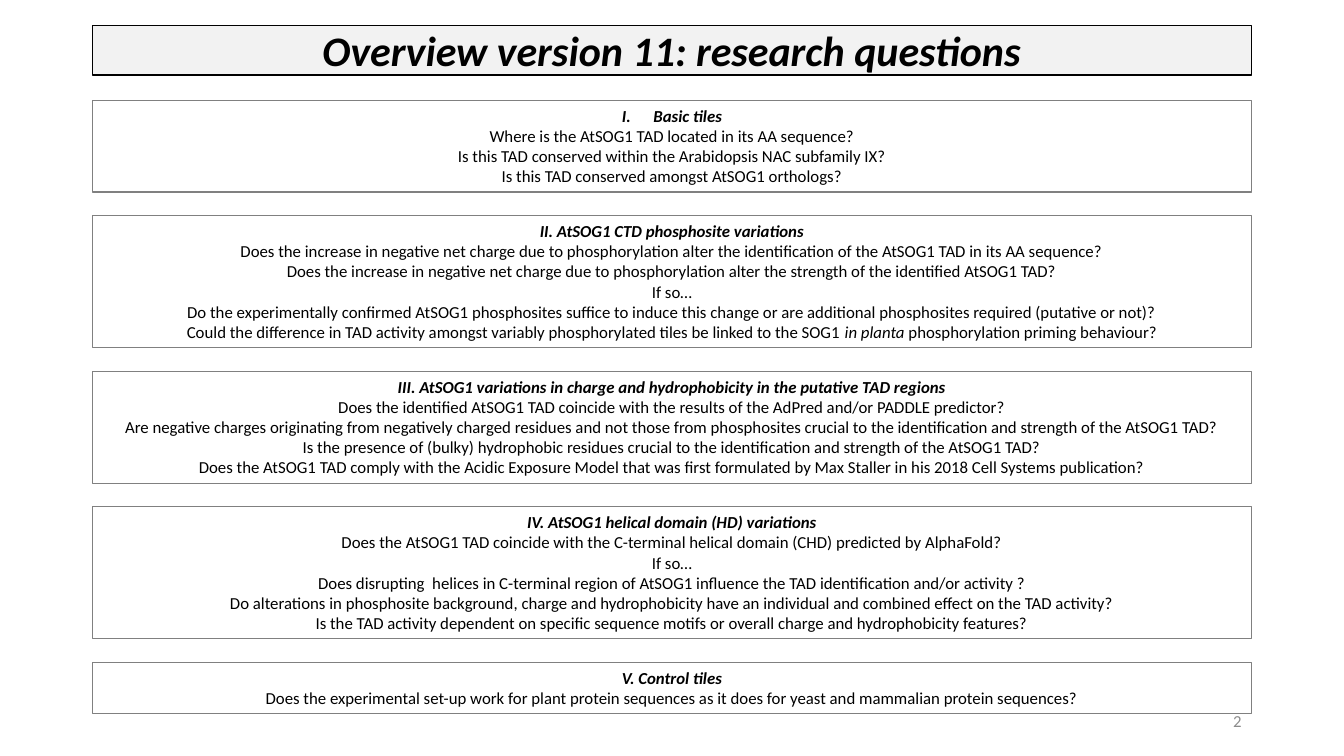
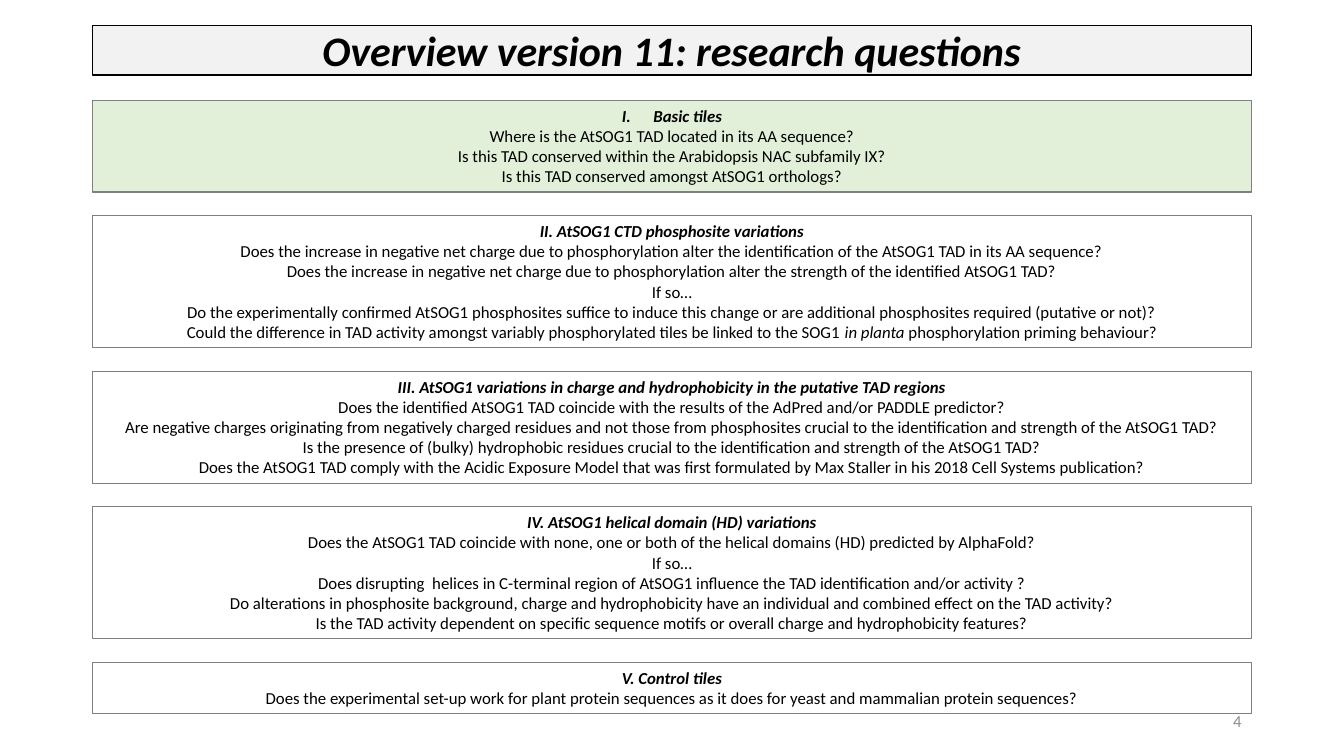
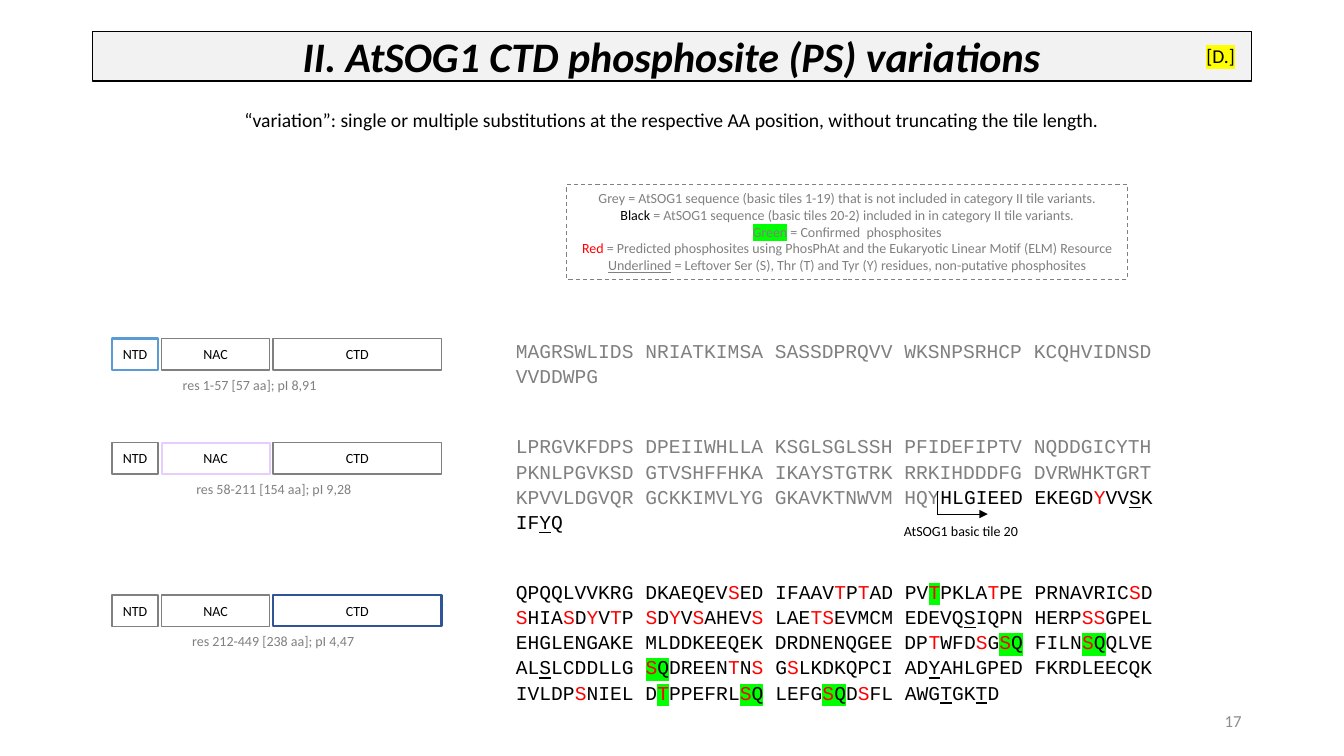
from lxml import etree
from pptx import Presentation
from pptx.dml.color import RGBColor
from pptx.enum import dml, shapes, text
from pptx.oxml import ns
from pptx.util import Pt

BLACK = RGBColor(0x00, 0x00, 0x00)
WHITE = RGBColor(0xFF, 0xFF, 0xFF)
GREY = RGBColor(0x80, 0x80, 0x80)
NUMBER_GREY = RGBColor(0x8C, 0x8C, 0x8C)
BAND = RGBColor(0xF2, 0xF2, 0xF2)
PALE_GREEN = RGBColor(0xE2, 0xF0, 0xD9)
RED = RGBColor(0xFF, 0x00, 0x00)
GREEN = RGBColor(0x00, 0xFF, 0x00)
YELLOW = RGBColor(0xFF, 0xFF, 0x00)
BLUE = RGBColor(0x5B, 0x9B, 0xD5)
LILAC = RGBColor(0xE6, 0xCD, 0xFF)
NAVY = RGBColor(0x2F, 0x55, 0x97)

LEFT, CENTER, RIGHT = text.PP_ALIGN.LEFT, text.PP_ALIGN.CENTER, text.PP_ALIGN.RIGHT
TOP, MIDDLE = text.MSO_ANCHOR.TOP, text.MSO_ANCHOR.MIDDLE

MARGIN, CONTENT_WIDTH = 66, 828

MARKS = {
    "b": {"bold": True, "italic": True},
    "i": {"italic": True},
    "u": {"underline": True},
    "k": {"color": BLACK},
    "a": {"color": GREY},
    "r": {"color": RED},
    "g": {"color": RED, "highlight": GREEN},
    "h": {"highlight": GREEN},
    "y": {"highlight": YELLOW},
}


def add_run(paragraph, words, size, color, face, bold=False, italic=False,
            underline=False, highlight=None):
    """Append one formatted run to a paragraph."""
    run = paragraph.add_run()
    run.text = words
    font = run.font
    font.size, font.name = Pt(size), face
    font.bold, font.italic, font.underline = bold, italic, underline
    font.color.rgb = color
    if highlight is not None:
        mark = etree.Element(ns.qn("a:highlight"))
        etree.SubElement(mark, ns.qn("a:srgbClr")).set("val", str(highlight))
        run._r.rPr.find(ns.qn("a:solidFill")).addnext(mark)


def write(frame, lines, size=12, color=BLACK, face="Calibri", align=CENTER,
          anchor=TOP, spacing=None, gaps=None, wrap=True, inset=7.2):
    """Fill a frame; a piece between bars starts with its letter in MARKS."""
    frame.auto_size = text.MSO_AUTO_SIZE.NONE
    frame.word_wrap = wrap
    frame.vertical_anchor = anchor
    frame.margin_left = frame.margin_right = Pt(inset)
    frame.margin_top = frame.margin_bottom = Pt(3.6)
    for index, line in enumerate(lines):
        paragraph = frame.add_paragraph() if index else frame.paragraphs[0]
        paragraph.alignment = align
        if spacing:
            paragraph.line_spacing = spacing
        if gaps and index in gaps:
            paragraph.space_after = Pt(gaps[index])
        for place, piece in enumerate(line.split("|")):
            if place % 2:
                add_run(paragraph, piece[1:], **{"size": size, "color": color,
                                                 "face": face, **MARKS[piece[0]]})
            elif piece:
                add_run(paragraph, piece, size, color, face)


def number_roman(paragraph, hang):
    """Number a paragraph with capital Roman numerals."""
    properties = paragraph._p.get_or_add_pPr()
    properties.set("marL", str(Pt(hang)))
    properties.set("indent", str(-Pt(hang)))
    numbering = etree.SubElement(properties, ns.qn("a:buAutoNum"))
    numbering.set("type", "romanUcPeriod")


class Deck:
    """Holds the shared style and the current slide."""

    def __init__(self):
        """Start an empty widescreen presentation."""
        self.show = Presentation()
        self.show.slide_width, self.show.slide_height = Pt(960), Pt(540)
        self.slide = None

    def paint(self, shape, fill, line, weight):
        """Set the fill and outline of a shape."""
        if fill is None:
            shape.fill.background()
        else:
            shape.fill.solid()
            shape.fill.fore_color.rgb = fill
        if line is None:
            shape.line.fill.background()
        else:
            shape.line.color.rgb = line
            shape.line.width = Pt(weight)

    def start(self, heading, number, top):
        """Add a slide with its title band and number."""
        self.slide = self.show.slides.add_slide(self.show.slide_layouts[5])
        title = self.slide.shapes.title
        title.left, title.top = Pt(MARGIN), Pt(top)
        title.width, title.height = Pt(CONTENT_WIDTH), Pt(35.5)
        self.paint(title, BAND, BLACK, 1)
        write(title.text_frame, [f"|b{heading}|"], size=30, spacing=0.9)
        self.label((678, 500.4, 216, 28.8), [str(number)], color=NUMBER_GREY,
                   align=RIGHT, anchor=MIDDLE)

    def label(self, area, lines, fill=None, **style):
        """Add a text box."""
        label = self.slide.shapes.add_textbox(*map(Pt, area))
        self.paint(label, fill, None, 0)
        write(label.text_frame, lines, **style)

    def box(self, area, lines, fill=None, line=GREY, weight=0.75, **style):
        """Add an outlined rectangle with text."""
        box = self.slide.shapes.add_shape(shapes.MSO_SHAPE.RECTANGLE, *map(Pt, area))
        box.shadow.inherit = False
        self.paint(box, fill, line, weight)
        write(box.text_frame, lines, **style)
        return box

    def line(self, start, end, arrow=False):
        """Add a thin straight line, with an arrowhead on request."""
        line = self.slide.shapes.add_connector(
            shapes.MSO_CONNECTOR.STRAIGHT, *map(Pt, start + end))
        line.line.color.rgb = BLACK
        line.line.width = Pt(0.5)
        if arrow:
            outline = line.line._get_or_add_ln()
            etree.SubElement(outline, ns.qn("a:tailEnd")).set("type", "triangle")
        etree.SubElement(line._element.spPr, ns.qn("a:effectLst"))


def overview(deck, number, helix_question, basic_fill=None):
    """Build a slide of research questions by category."""
    deck.start("Overview version 11: research questions", number, 18)
    categories = [
        ("Basic tiles", basic_fill, [
            "Where is the AtSOG1 TAD located in its AA sequence?",
            "Is this TAD conserved within the Arabidopsis NAC subfamily IX?",
            "Is this TAD conserved amongst AtSOG1 orthologs?"]),
        ("II. AtSOG1 CTD phosphosite variations", None, [
            "Does the increase in negative net charge due to phosphorylation alter "
            "the identification of the AtSOG1 TAD in its AA sequence?",
            "Does the increase in negative net charge due to phosphorylation alter "
            "the strength of the identified AtSOG1 TAD?",
            "If so…",
            "Do the experimentally confirmed AtSOG1 phosphosites suffice to induce this "
            "change or are additional phosphosites required (putative or not)?",
            "Could the difference in TAD activity amongst variably phosphorylated tiles be "
            "linked to the SOG1 |iin planta |phosphorylation priming behaviour?"]),
        ("III. AtSOG1 variations in charge and hydrophobicity in the putative TAD regions",
         None, [
            "Does the identified AtSOG1 TAD coincide with the results of the AdPred "
            "and/or PADDLE predictor?",
            "Are negative charges originating from negatively charged residues and not those "
            "from phosphosites crucial to the identification and strength of the AtSOG1 TAD?",
            "Is the presence of (bulky) hydrophobic residues crucial to the identification "
            "and strength of the AtSOG1 TAD?",
            "Does the AtSOG1 TAD comply with the Acidic Exposure Model that was first "
            "formulated by Max Staller in his 2018 Cell Systems publication?"]),
        ("IV. AtSOG1 helical domain (HD) variations", None, [
            helix_question,
            "If so…",
            "Does disrupting  helices in C-terminal region of AtSOG1 influence the TAD "
            "identification and/or activity ?",
            "Do alterations in phosphosite background, charge and hydrophobicity have an "
            "individual and combined effect on the TAD activity?",
            "Is the TAD activity dependent on specific sequence motifs or overall charge "
            "and hydrophobicity features?"]),
        ("V. Control tiles", WHITE, [
            "Does the experimental set-up work for plant protein sequences as it does for "
            "yeast and mammalian protein sequences?"]),
    ]
    top = 72
    for index, (category, fill, questions) in enumerate(categories):
        height = 14.5 * (len(questions) + 1) + 7.2
        box = deck.box((MARGIN, top, CONTENT_WIDTH, height),
                       [f"|b{category}|"] + questions, fill=fill)
        if index == 0:
            number_roman(box.text_frame.paragraphs[0], 22.5)
        top += height + 17


def phosphosites(deck):
    """Build the slide with the marked AtSOG1 sequence."""
    deck.start("II. AtSOG1 CTD phosphosite (PS) variations", 17, 22.3)
    deck.label((MARGIN, 73.4, CONTENT_WIDTH, 24.5), [
        "“variation”: single or multiple substitutions at the respective AA position, "
        "without truncating the tile length."], size=14)
    deck.label((854.6, 28.1, 49.7, 24.5), ["|y[D.]|"], size=14, align=LEFT)

    legend = deck.box((404.6, 131.8, 401, 67.7), [
        "Grey = AtSOG1 sequence (basic tiles 1-19) that is not included in category II "
        "tile variants.",
        "|kBlack| = AtSOG1 sequence (basic tiles 20-2) included in in category II "
        "tile variants.",
        "|hGreen| = Confirmed  phosphosites",
        "|rRed| = Predicted phosphosites using PhosPhAt and the Eukaryotic Linear Motif "
        "(ELM) Resource",
        "|uUnderlined| = Leftover Ser (S), Thr (T) and Tyr (Y) residues, "
        "non-putative phosphosites"], size=10, color=GREY, wrap=False)
    legend.line.dash_style = dml.MSO_LINE.DASH

    domains = [("NTD", 79.9, 33.1), ("NAC", 115.4, 77.2), ("CTD", 195, 120.4)]
    regions = [
        (241.8, "NTD", BLUE, "res 1-57 [57 aa]; pI 8,91", 178.2),
        (316.2, "NAC", LILAC, "res 58-211 [154 aa]; pI 9,28", 195.5),
        (425, "CTD", NAVY, "res 212-449 [238 aa]; pI 4,47", 195.1),
    ]
    for top, current, accent, residues, middle in regions:
        for domain, left, width in domains:
            line, weight = (accent, 1.5) if domain == current else (GREY, 1)
            deck.box((left, top, width, 22.5), [domain], line=line, weight=weight,
                     size=10, anchor=MIDDLE, inset=0)
        deck.label((middle - 66, top + 23.4, 132, 19.4), [residues], size=10,
                   color=GREY, wrap=False)

    deck.label((361.4, 237.6, 488.2, 260), [
        "|aMAGRSWLIDS NRIATKIMSA SASSDPRQVV WKSNPSRHCP KCQHVIDNSD VVDDWPG|",
        "|aLPRGVKFDPS DPEIIWHLLA KSGLSGLSSH PFIDEFIPTV NQDDGICYTH "
        "PKNLPGVKSD GTVSHFFHKA IKAYSTGTRK RRKIHDDDFG DVRWHKTGRT "
        "KPVVLDGVQR GCKKIMVLYG GKAVKTNWVM HQY|HLGIEED EKEGD|rY|VV|uS|K IF|uY|Q",
        "QPQQLVVKRG DKAEQEV|rS|ED IFAAV|rT|P|rT|AD PV|gT|PKLA|rT|PE PRNAVRIC|rS|D",
        "|rS|HIA|rS|D|rY|V|rT|P |rS|D|rY|V|rS|AHEV|rS| LAE|rTS|EVMCM EDEVQ|uS|IQPN "
        "HERP|rSS|GPEL",
        "EHGLENGAKE MLDDKEEQEK DRDNENQGEE DP|rT|WFD|rS|G|gS||hQ| FILN|gS||hQ|QLVE",
        "AL|uS|LCDDLLG |gS||hQ|DREEN|rT|N|rS| G|rS|LKDKQPCI AD|uY|AHLGPED FKRDLEECQK",
        "IVLDP|rS|NIEL D|gT|PPEFRL|gS||hQ| LEFG|gS||hQ|D|rS|FL AWG|uT|GK|uT|D",
    ], fill=WHITE, size=14, face="Courier New", align=LEFT, spacing=1.07,
        gaps={0: 32, 1: 32})

    deck.line((669.3, 350.6), (669.3, 367.2))
    deck.line((669.3, 367.2), (705.6, 367.2), arrow=True)
    deck.label((638.6, 369.4, 97.2, 19.4), ["AtSOG1 basic tile 20"], size=10,
               align=LEFT, wrap=False)


def main():
    """Build and save the three slides."""
    deck = Deck()
    overview(deck, 2, "Does the AtSOG1 TAD coincide with the C-terminal helical domain "
                      "(CHD) predicted by AlphaFold?")
    overview(deck, 4, "Does the AtSOG1 TAD coincide with none, one or both of the helical "
                      "domains (HD) predicted by AlphaFold?", PALE_GREEN)
    phosphosites(deck)
    deck.show.save("out.pptx")


if __name__ == "__main__":
    main()
